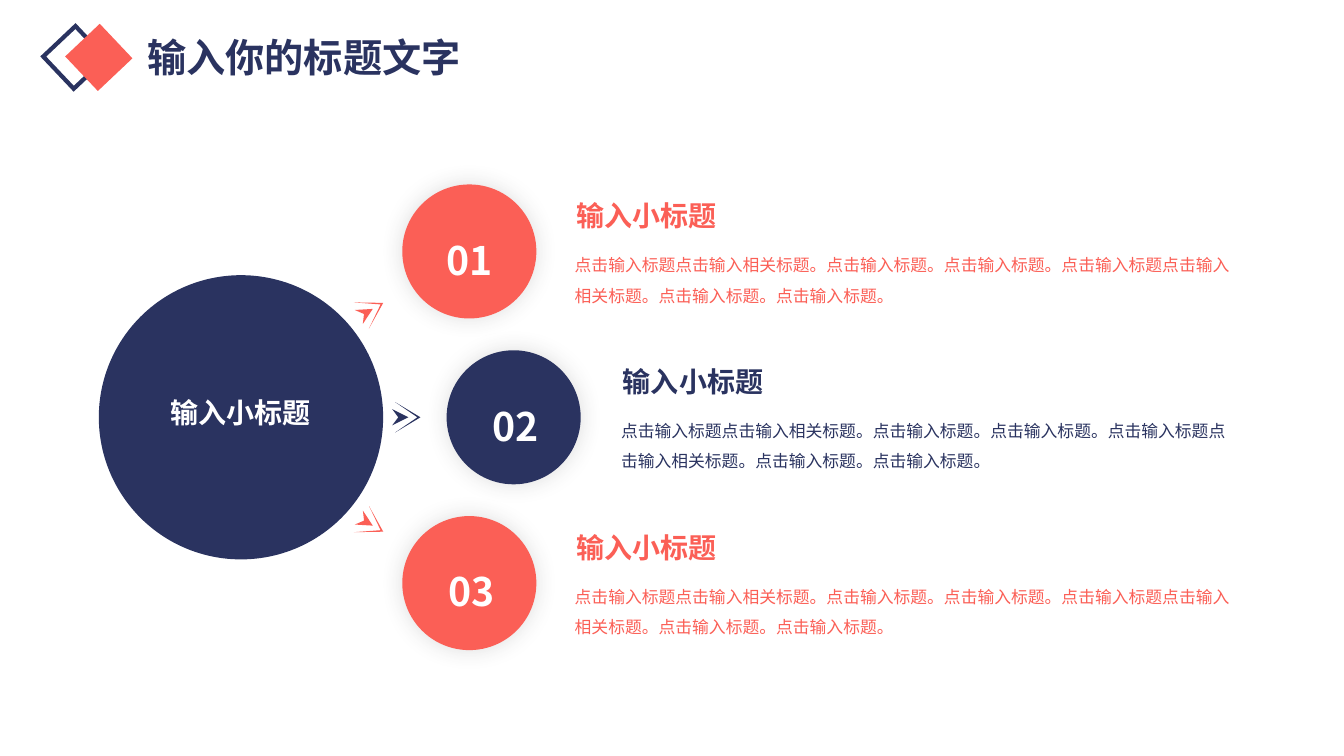
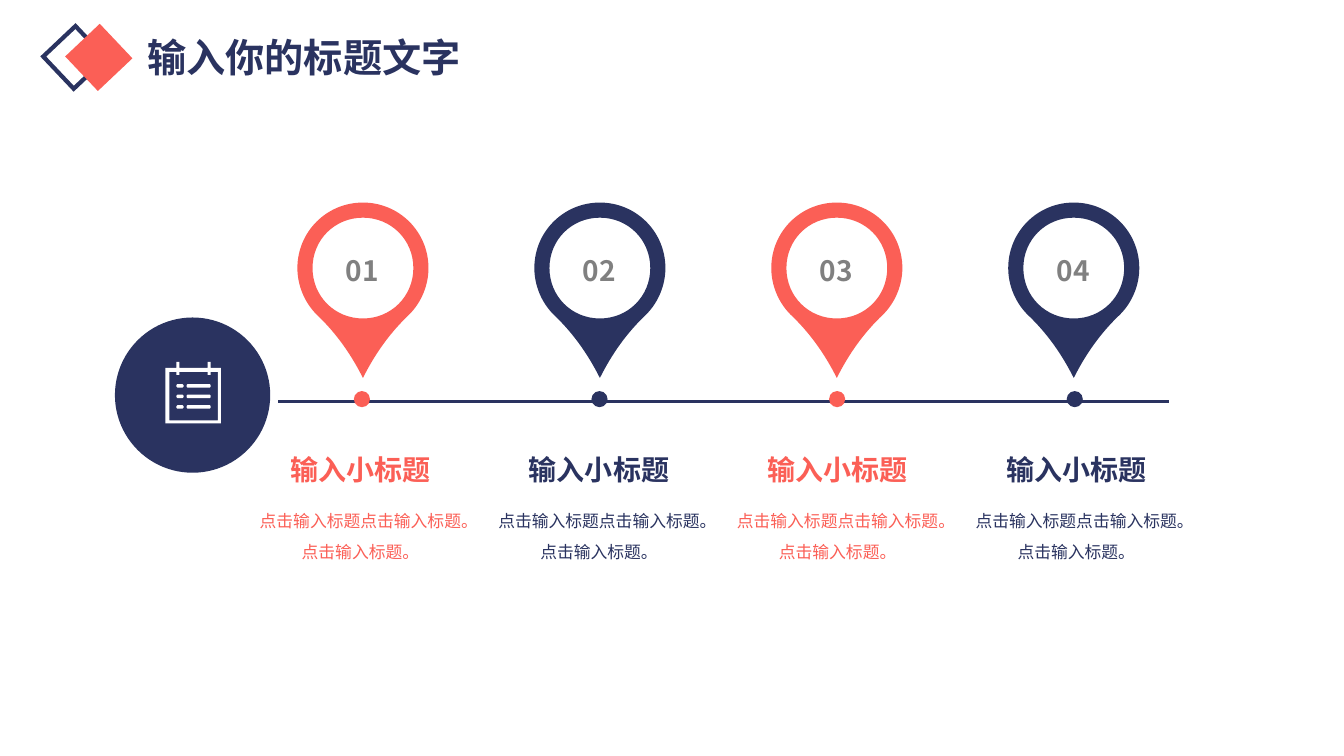
import lxml.etree
import pptx
import pptx.dml.color
import pptx.enum.shapes
import pptx.enum.text
import pptx.oxml.ns
import pptx.util

# Content
TITLE = "输入你的标题文字"
HEAD = "输入小标题"
LONG = ("点击输入标题点击输入相关标题。点击输入标题。点击输入标题。"
        "点击输入标题点击输入相关标题。点击输入标题。点击输入标题。")
SHORT = "点击输入标题点击输入标题。点击输入标题。"
NAVY, CORAL, WHITE, GRAY = "2A3360", "FB5F56", "FFFFFF", "808080"
# label, colour, circle left, label left, heading left
ITEMS = [("01", CORAL, 399, 414, 562),
         ("02", NAVY, 443, 460, 608),
         ("03", CORAL, 399, 416, 562)]
# colour, centre x, centre y, turn
ARROWS = [(CORAL, 368, 307.5, -30), (CORAL, 368, 520.5, 30), (NAVY, 403, 414, 0)]
STEPS = [("01", CORAL), ("02", NAVY), ("03", CORAL), ("04", NAVY)]

# Outlines: the arrow and the right halves of the pin, measured from the centre
TIP = [[(-11, 15), (14, 0), (-11, -15), (11, 0)],
       [(-14, -8), (-8, 0), (-14, 8), (2, 0)]]
HOLE = [(0, -50), (28, -50), (50, -28), (50, 0), (50, 28), (28, 50), (0, 50)]
DROP = [(0, -65), (36, -65), (65, -36), (65, 0), (65, 17), (58, 34), (46, 46),
        (27, 64), (12, 85), (0, 109)]
PAD = [[(164, 365), (175, 365), (175, 359), (178, 359), (178, 365), (206, 365),
        (206, 359), (209, 359), (209, 365), (219, 365), (219, 420), (164, 420)],
       [(168, 369), (168, 417), (216, 417), (216, 369), (209, 369), (209, 372),
        (206, 372), (206, 369), (178, 369), (178, 372), (175, 372), (175, 369)]]

# Shared look: 100 px to the inch
FONT = "Noto Sans CJK SC"
PX = 9144
KIND = pptx.enum.shapes.MSO_SHAPE
ALIGN = pptx.enum.text.PP_ALIGN
ANCHOR = pptx.enum.text.MSO_ANCHOR
qn = pptx.oxml.ns.qn


def px(num):
    return round(num * PX)


def hue(code):
    return pptx.dml.color.RGBColor.from_string(code)


def paint(shape, fill=None, line=None, width=1):
    shape.shadow.inherit = False
    if fill:
        shape.fill.solid()
        shape.fill.fore_color.rgb = hue(fill)
    else:
        shape.fill.background()
    if line:
        shape.line.color.rgb = hue(line)
        shape.line.width = pptx.util.Pt(width)
        edge = shape.line._get_or_add_ln()
        lxml.etree.SubElement(edge, qn("a:miter"), lim="800000")
    else:
        shape.line.fill.background()
    return shape


def form(slide, kind, x, y, w, h, **look):
    return paint(slide.shapes.add_shape(kind, px(x), px(y), px(w), px(h)), **look)


def disc(slide, x, y, size, fill):
    return form(slide, KIND.OVAL, x, y, size, size, fill=fill)


def trace(slide, loops, x, y, fill):
    """Draw closed outlines whose points are measured from (x, y)."""
    loops = [[(px(x + a), px(y + b)) for a, b in loop] for loop in loops]
    pen = slide.shapes.build_freeform(*loops[0][0], scale=1.0)
    for num, loop in enumerate(loops):
        if num:
            pen.move_to(*loop[0])
        pen.add_line_segments(loop[1:], close=True)
    return paint(pen.convert_to_shape(), fill=fill)


def bend(shape):
    """Turn each three points of an outline into one curve."""
    legs = list(shape._element.iter(qn("a:lnTo")))
    for num in range(0, len(legs), 3):
        arc = lxml.etree.Element(qn("a:cubicBezTo"))
        legs[num].addprevious(arc)
        for leg in legs[num:num + 3]:
            arc.append(leg[0])
            leg.getparent().remove(leg)


def whole(half):
    """Mirror a right half into a closed outline."""
    return half + [(-x, y) for x, y in half[-2::-1]]


def say(slide, words, x, y, w, h, size=12, color=NAVY, bold=False,
        align=ALIGN.LEFT, anchor=ANCHOR.TOP, gap=None, inset=True, box=None):
    box = box or slide.shapes.add_textbox(0, 0, 0, 0)
    box.left, box.top, box.width, box.height = px(x), px(y), px(w), px(h)
    frame = box.text_frame
    frame.word_wrap = True
    frame.auto_size = pptx.enum.text.MSO_AUTO_SIZE.NONE
    frame.vertical_anchor = anchor
    if not inset:
        frame.margin_left = frame.margin_right = 0
        frame.margin_top = frame.margin_bottom = 0
    para = frame.paragraphs[0]
    para.alignment = align
    if gap:
        para.line_spacing = gap
    run = para.add_run()
    run.text = words
    font = run.font
    font.name, font.size, font.bold = FONT, pptx.util.Pt(size), bold
    font.color.rgb = hue(color)
    lxml.etree.SubElement(run._r.get_or_add_rPr(), qn("a:ea"), typeface=FONT)


def start(deck):
    """Add a slide with the title and its two diamonds."""
    slide = deck.slides.add_slide(deck.slide_layouts[5])
    form(slide, KIND.RECTANGLE, 52, 35, 44, 44, line=NAVY, width=3).rotation = 46.6
    form(slide, KIND.RECTANGLE, 81, 40, 34, 34, fill=CORAL, line=CORAL,
         width=9.5).rotation = 46.6
    say(slide, TITLE, 74, 28, 455, 57, size=28, bold=True,
        align=ALIGN.CENTER, box=slide.shapes.title)
    return slide


def glow(shape):
    """Give a shape a soft, even shadow."""
    effects = shape._element.spPr.find(qn("a:effectLst"))
    shade = lxml.etree.SubElement(effects, qn("a:outerShdw"), dist="0", dir="0",
                                  blurRad=str(pptx.util.Pt(16)), algn="ctr", rotWithShape="0")
    color = lxml.etree.SubElement(shade, qn("a:srgbClr"), val="404040")
    lxml.etree.SubElement(color, qn("a:alpha"), val="17000")


def fan(deck):
    """One hub with three branches."""
    slide = start(deck)
    disc(slide, 98, 273, 282, NAVY)
    for num, (label, color, x, left, side) in enumerate(ITEMS):
        y = 183 + 164.5 * num
        glow(disc(slide, x, y, 133, color))
        say(slide, HEAD, side, y + 9, 275, 44, size=20, color=color, bold=True,
            anchor=ANCHOR.MIDDLE)
        say(slide, LONG, side + 8, y + 60, 1214 - side, 57, color=color,
            gap=1.5, inset=False)
        say(slide, label, left, 216 + 164 * num, 103, 66, size=28, color=WHITE,
            bold=True, align=ALIGN.CENTER, gap=1.3)
    for color, x, y, turn in ARROWS:
        trace(slide, TIP, x, y, color).rotation = turn
    say(slide, HEAD, 147, 379, 183, 50, size=20, color=WHITE, bold=True,
        align=ALIGN.CENTER, anchor=ANCHOR.MIDDLE, gap=1.3)


def bar(x, y, w, h):
    """Outline of a bar with cut corners."""
    r, b = x + w, y + h
    return [(x + 1, y), (r - 1, y), (r, y + 1), (r, b - 1),
            (r - 1, b), (x + 1, b), (x, b - 1), (x, y + 1)]


def icon(slide):
    """A notepad on a disc."""
    disc(slide, 114, 315, 154, NAVY)
    rows = [bar(x, 381 + 10.5 * i, w, 3.5)
            for i in range(3) for x, w in ((175, 7), (185, 24))]
    trace(slide, PAD + rows, 0, 0, WHITE)


def road(deck):
    """Four pins on a line."""
    slide = start(deck)
    line = slide.shapes.add_connector(pptx.enum.shapes.MSO_CONNECTOR.STRAIGHT,
                                      px(276), px(398), px(1159), px(398))
    line.line.color.rgb = hue(NAVY)
    line.line.width = pptx.util.Pt(2.25)
    lxml.etree.SubElement(line._element.spPr, qn("a:effectLst"))
    pin = [whole(HOLE)[::-1], whole(DROP)]
    for num, (label, color) in enumerate(STEPS):
        x = 360 + 235 * num
        left = 257 + 710 * num / 3
        disc(slide, 351 + 707 * num / 3, 388, 16, color)
        bend(trace(slide, pin, x, 266, color))
        say(slide, HEAD, left, 444, 201, 44, size=20, color=color, bold=True,
            align=ALIGN.CENTER)
        say(slide, SHORT, left, 497, 201, 57, color=color, align=ALIGN.CENTER,
            gap=1.5, inset=False)
        say(slide, label, x - 101, 247, 201, 44, size=20, color=GRAY, bold=True,
            align=ALIGN.CENTER)
    icon(slide)


def main():
    deck = pptx.Presentation()
    deck.slide_width, deck.slide_height = px(1333), px(750)
    fan(deck)
    road(deck)
    deck.save("out.pptx")


if __name__ == "__main__":
    main()
